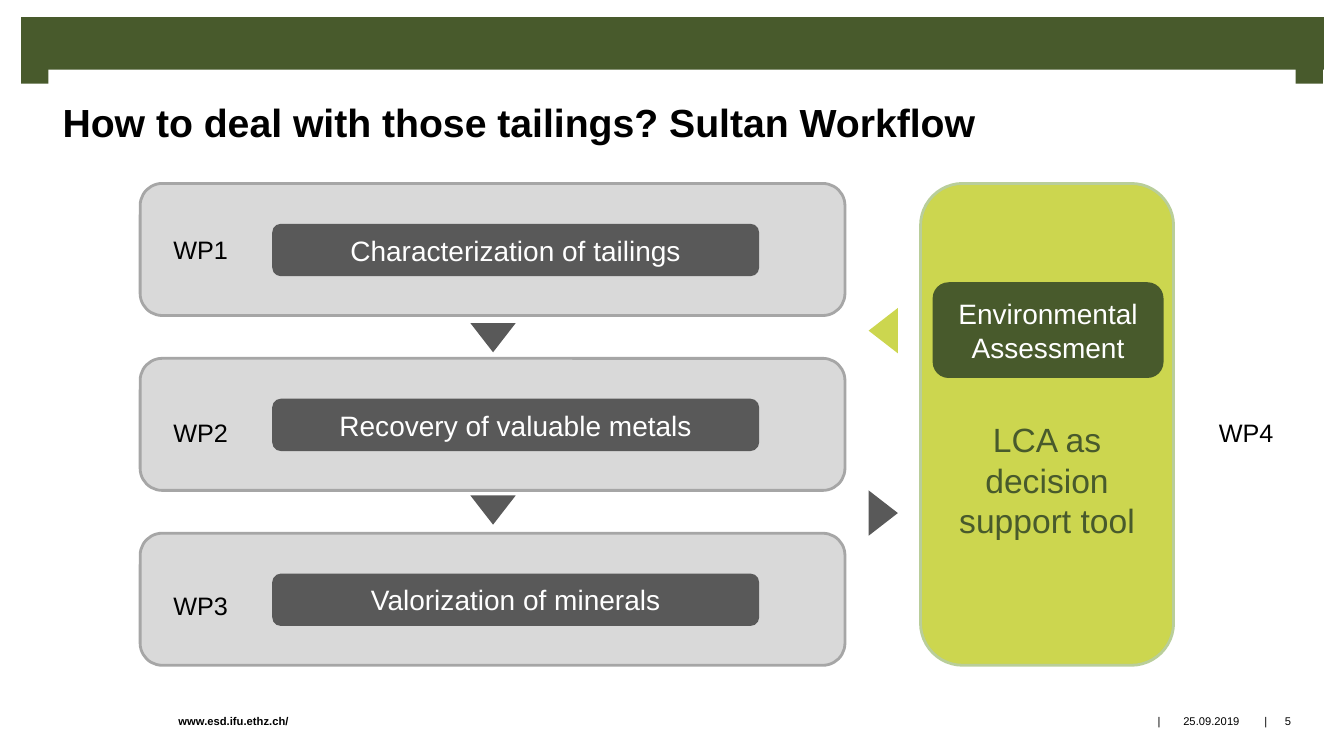
from pptx import Presentation
from pptx.dml.color import RGBColor
from pptx.enum.shapes import MSO_SHAPE as Form
from pptx.enum.text import MSO_ANCHOR as Anchor, PP_ALIGN as Align
from pptx.util import Inches, Pt

MOSS, LIME, SAGE = "485A2C", "CCD64F", "B9CE9A"
DARK, MID, PALE = "595959", "A6A6A6", "D9D9D9"
BLACK, WHITE = "000000", "FFFFFF"
COLS, ROWS = 133.3, 75
CELL = Inches(0.1)


def paint(target, hue):
    """Give a fill, line or font a colour from a hex string."""
    if hasattr(target, "solid"):
        target.solid()
        target.fore_color.rgb = RGBColor.from_string(hue)
    elif hasattr(target, "width"):
        paint(target.fill, hue)
    else:
        target.color.rgb = RGBColor.from_string(hue)


def grid(*cells):
    """Turn columns and rows into lengths."""
    return [round(n * CELL) for n in cells]


class Deck:
    font = "Arial"

    def __init__(self):
        self.prs = Presentation()
        self.prs.slide_width, self.prs.slide_height = grid(COLS, ROWS)
        self.slide = self.prs.slides.add_slide(self.prs.slide_layouts[5])

    def letter(self, shape, text, size, hue, align=Align.CENTER, bold=False,
               pad=(1, 0.5, 1, 0.5), wrap=True):
        """Set text; pad is left, top, right and bottom in cells."""
        frame = shape.text_frame
        frame.text = text
        frame.word_wrap = wrap
        frame.vertical_anchor = Anchor.MIDDLE
        (frame.margin_left, frame.margin_top,
         frame.margin_right, frame.margin_bottom) = grid(*pad)
        para = frame.paragraphs[0]
        para.alignment = align
        for run in para.runs:
            run.font.name, run.font.size, run.font.bold = self.font, Pt(size), bold
            paint(run.font, hue)

    def title(self, text, box):
        head = self.slide.shapes.title
        head.left, head.top, head.width, head.height = grid(*box)
        paint(head.fill, WHITE)
        self.letter(head, text, 28, BLACK, Align.LEFT, True, (1.5, 0, 1.6, 0))

    def shape(self, form, box, fill, edge=None, turn=0):
        item = self.slide.shapes.add_shape(form, *grid(*box))
        item.shadow.inherit = False
        item.rotation = turn
        paint(item.fill, fill)
        if edge:
            item.line.width = Pt(2)
            paint(item.line, edge)
        else:
            item.line.fill.background()
        return item

    def card(self, text, box, fill):
        self.letter(self.shape(Form.ROUNDED_RECTANGLE, box, fill), text, 20, WHITE)

    def arrow(self, x, y, turn, fill):
        """Centre a small triangle on x, y."""
        wide, high = 4.5, 2.9
        box = (x - wide / 2, y - high / 2, wide, high)
        self.shape(Form.FLOWCHART_EXTRACT, box, fill, turn=turn)

    def label(self, text, box, size=18, **style):
        item = self.slide.shapes.add_textbox(*grid(*box))
        self.letter(item, text, size, BLACK, **style)


def main():
    deck = Deck()
    deck.title("How to deal with those tailings? Sultan Workflow",
               (4.7, 6.85, 123.9, 10.55))

    # Header band with its two end tabs
    for box in ((2.1, 1.7, 129.2, 5.2), (2.1, 6.5, 2.7, 1.8), (128.5, 6.5, 2.7, 1.8)):
        deck.shape(Form.RECTANGLE, box, MOSS)

    # Work packages, one per step
    top, step, high = 18.2, 17.35, 13.1
    steps = ("Characterization of tailings", "Recovery of valuable metals",
             "Valorization of minerals")
    tags = (22.7, 40.9, 58.1)
    for i, (text, tag) in enumerate(zip(steps, tags)):
        y = top + i * step
        deck.shape(Form.ROUNDED_RECTANGLE, (13.9, y, 69.9, high), PALE, MID)
        deck.card(text, (27, y + 4, 48.3, 5.2), DARK)
        deck.label(f"WP{i + 1}", (16.2, tag, 7.5, 4), align=Align.LEFT, wrap=False)

    # Assessment column
    column = deck.shape(Form.ROUNDED_RECTANGLE,
                        (91.3, top, 25.1, 2 * step + high), LIME, SAGE)
    deck.letter(column, "LCA as decision support tool", 24, MOSS,
                pad=(1, 11.5, 1, 0.5))
    deck.card("Environmental Assessment", (92.5, 28, 22.9, 9.5), MOSS)
    deck.label("WP4", (119.9, 40.9, 7.5, 4), align=Align.LEFT, wrap=False)

    for x, y, turn, fill in ((48.9, 33.5, 180, DARK), (48.9, 50.6, 180, DARK),
                             (87.6, 50.9, 90, DARK), (87.6, 32.8, 270, LIME)):
        deck.arrow(x, y, turn, fill)

    # Footer
    deck.label("www.esd.ifu.ethz.ch/", (17.7, 69, 48.9, 5), 8,
               align=Align.LEFT, bold=True, pad=(0, 0.5, 0, 0.5))
    for text, x, wide in (("|", 114.2, 1.5), ("25.09.2019", 115.7, 8.9),
                          ("|", 124.8, 1.5), ("5", 125.8, 3.9)):
        deck.label(text, (x, 69, wide, 5.1), 8, pad=(0, 0, 0, 0), wrap=False)

    deck.prs.save("out.pptx")


if __name__ == "__main__":
    main()
